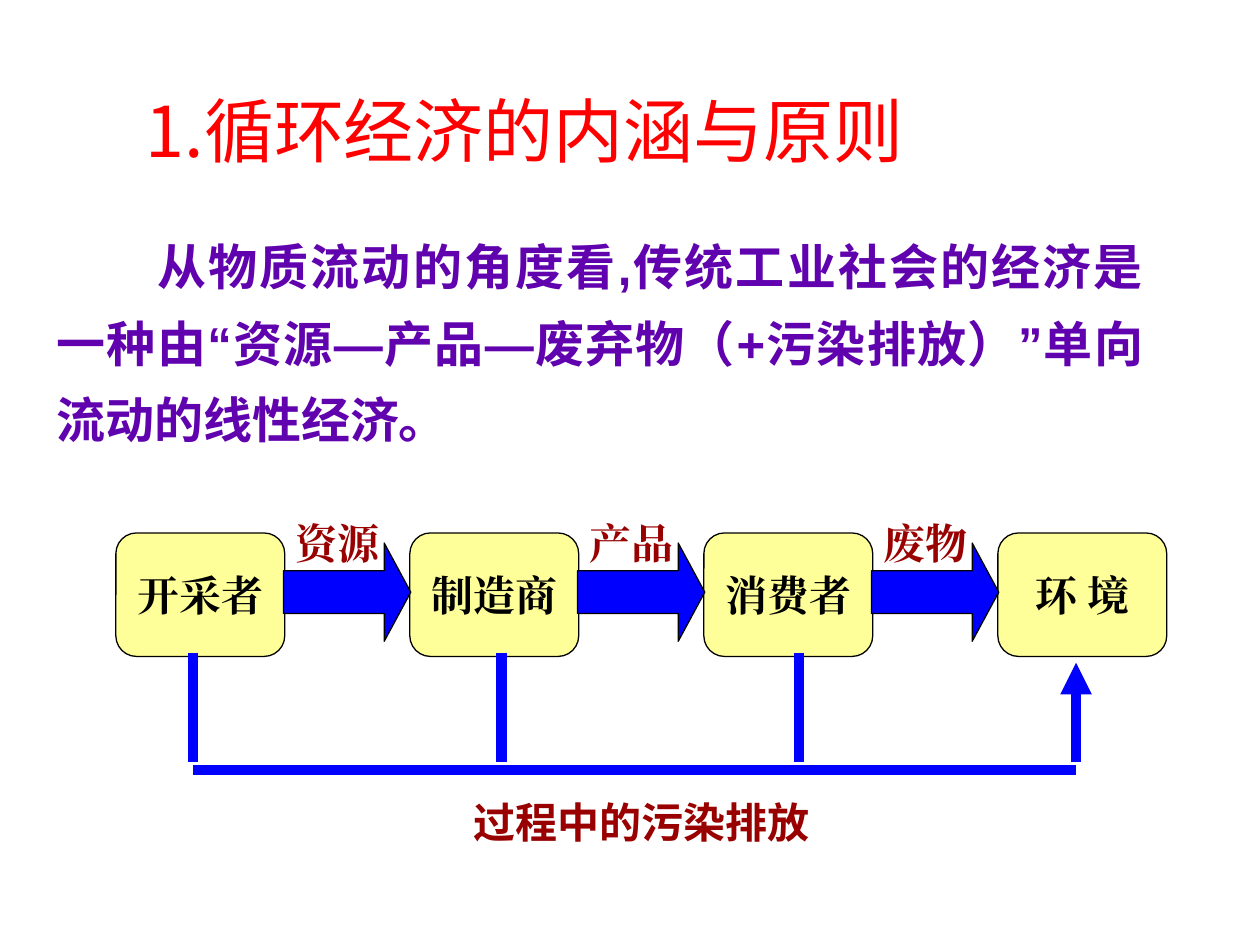
from typing import NamedTuple, Optional

from lxml.etree import SubElement
from pptx import Presentation
from pptx.dml.color import RGBColor
from pptx.enum.shapes import MSO_CONNECTOR, MSO_SHAPE
from pptx.enum.text import MSO_ANCHOR as Anchor, PP_ALIGN as Align
from pptx.oxml.ns import qn
from pptx.util import Inches, Pt

RED = RGBColor(0xFF, 0x00, 0x00)
PURPLE = RGBColor(0x60, 0x02, 0xAE)
BLUE = RGBColor(0x00, 0x00, 0xFF)
YELLOW = RGBColor(0xFF, 0xFF, 0x99)
MAROON = RGBColor(0x99, 0x00, 0x00)
BLACK = RGBColor(0x00, 0x00, 0x00)

FIRST_STAGE_LEFT = 0.92
STAGE_STEP = 7 / 3
STAGE_TOP = 4.23
STAGE_WIDTH = 1.34
STAGE_HEIGHT = 0.98
DISCHARGE_Y = 6.11
BRANCH_END_Y = 6.05


class Box(NamedTuple):
    left: float
    top: float
    width: float
    height: float

    def lengths(self):
        return [Inches(value) for value in self]


class Style(NamedTuple):
    font: str
    size: int
    color: RGBColor
    bold: bool = True


class Stage(NamedTuple):
    actor: str
    output: Optional[str]
    branch_x: float


STAGES = [
    Stage("开采者", "资源", 1.53),
    Stage("制造商", "产品", 3.98),
    Stage("消费者", "废物", 6.34),
    Stage("环 境", None, 8.54),
]
TITLE = Style("Noto Sans CJK SC", 40, RED, False)
BODY = Style("Arial", 28, PURPLE)
ACTOR = Style("Times New Roman", 24, BLACK)
OUTPUT = Style("Times New Roman", 24, MAROON)
CAPTION = Style("Arial", 24, MAROON)


def write(frame, text: str, style: Style, align=Align.LEFT):
    frame.text = text
    paragraph = frame.paragraphs[0]
    paragraph.alignment = align
    run = paragraph.runs[0]
    run.font.name = style.font
    run.font.size = Pt(style.size)
    run.font.bold = style.bold
    run.font.color.rgb = style.color
    SubElement(run.font._element, qn("a:ea"), typeface=style.font)
    return paragraph


def add_text(slide, box: Box, text: str, style: Style, anchor=Anchor.TOP, align=Align.LEFT):
    frame = slide.shapes.add_textbox(*box.lengths()).text_frame
    frame.word_wrap = True
    frame.vertical_anchor = anchor
    return write(frame, text, style, align)


def add_block(slide, kind, box: Box, fill: RGBColor, adjustments: list[float]):
    block = slide.shapes.add_shape(kind, *box.lengths())
    block.shadow.inherit = False
    for index, value in enumerate(adjustments):
        block.adjustments[index] = value
    block.fill.solid()
    block.fill.fore_color.rgb = fill
    block.line.color.rgb = BLACK
    block.line.width = Pt(0.75)
    return block


def add_pipe(slide, start: tuple[float, float], end: tuple[float, float], arrow: bool = False):
    pipe = slide.shapes.add_connector(
        MSO_CONNECTOR.STRAIGHT, *[Inches(value) for value in (*start, *end)]
    )
    pipe.line.color.rgb = BLUE
    pipe.line.width = Pt(6)
    if arrow:
        SubElement(pipe.line._get_or_add_ln(), qn("a:tailEnd"), type="triangle")
    SubElement(pipe._element.spPr, qn("a:effectLst"))


def add_actor(slide, left: float, stage: Stage):
    box = Box(left, STAGE_TOP, STAGE_WIDTH, STAGE_HEIGHT)
    actor = add_block(slide, MSO_SHAPE.ROUNDED_RECTANGLE, box, YELLOW, [0.167])
    actor.text_frame.vertical_anchor = Anchor.MIDDLE
    write(actor.text_frame, stage.actor, ACTOR, Align.CENTER)


def add_flow(slide, left: float, stage: Stage):
    arrow_left = left + STAGE_WIDTH - 0.01
    arrow = Box(arrow_left, 4.31, 1.01, 0.78)
    add_block(slide, MSO_SHAPE.RIGHT_ARROW, arrow, BLUE, [0.436, 0.27])
    add_text(slide, Box(arrow_left, 4.06, 1.01, 0.5), stage.output, OUTPUT)


def main():
    prs = Presentation()
    prs.slide_width, prs.slide_height = Inches(10), Inches(7.5)
    slide = prs.slides.add_slide(prs.slide_layouts[6])

    add_text(slide, Box(1.06, 0.28, 7.83, 1.13), "1.循环经济的内涵与原则", TITLE, Anchor.BOTTOM)
    body = add_text(
        slide,
        Box(0.35, 1.69, 8.82, 2.3),
        "从物质流动的角度看,传统工业社会的经济是一种由“资源—产品—废弃物（+污染排放）”单向流动的线性经济。",
        BODY,
        align=Align.JUSTIFY,
    )
    body.line_spacing = 1.3
    body.space_before = Pt(5.6)
    body._p.get_or_add_pPr().set("indent", str(Inches(0.8)))

    lefts = [FIRST_STAGE_LEFT + STAGE_STEP * index for index in range(len(STAGES))]
    for left, stage in zip(lefts, STAGES):
        add_actor(slide, left, stage)
    for left, stage in zip(lefts, STAGES[:-1]):
        add_flow(slide, left, stage)
        add_pipe(slide, (stage.branch_x, 5.18), (stage.branch_x, BRANCH_END_Y))

    first_x, last_x = STAGES[0].branch_x, STAGES[-1].branch_x
    add_pipe(slide, (first_x, DISCHARGE_Y), (last_x, DISCHARGE_Y))
    add_pipe(slide, (last_x, BRANCH_END_Y), (last_x, 5.26), arrow=True)
    add_text(slide, Box(3.66, 6.27, 3.23, 0.5), "过程中的污染排放", CAPTION, Anchor.BOTTOM)

    prs.save("out.pptx")


if __name__ == "__main__":
    """Build the slide on the linear economy."""
    main()
